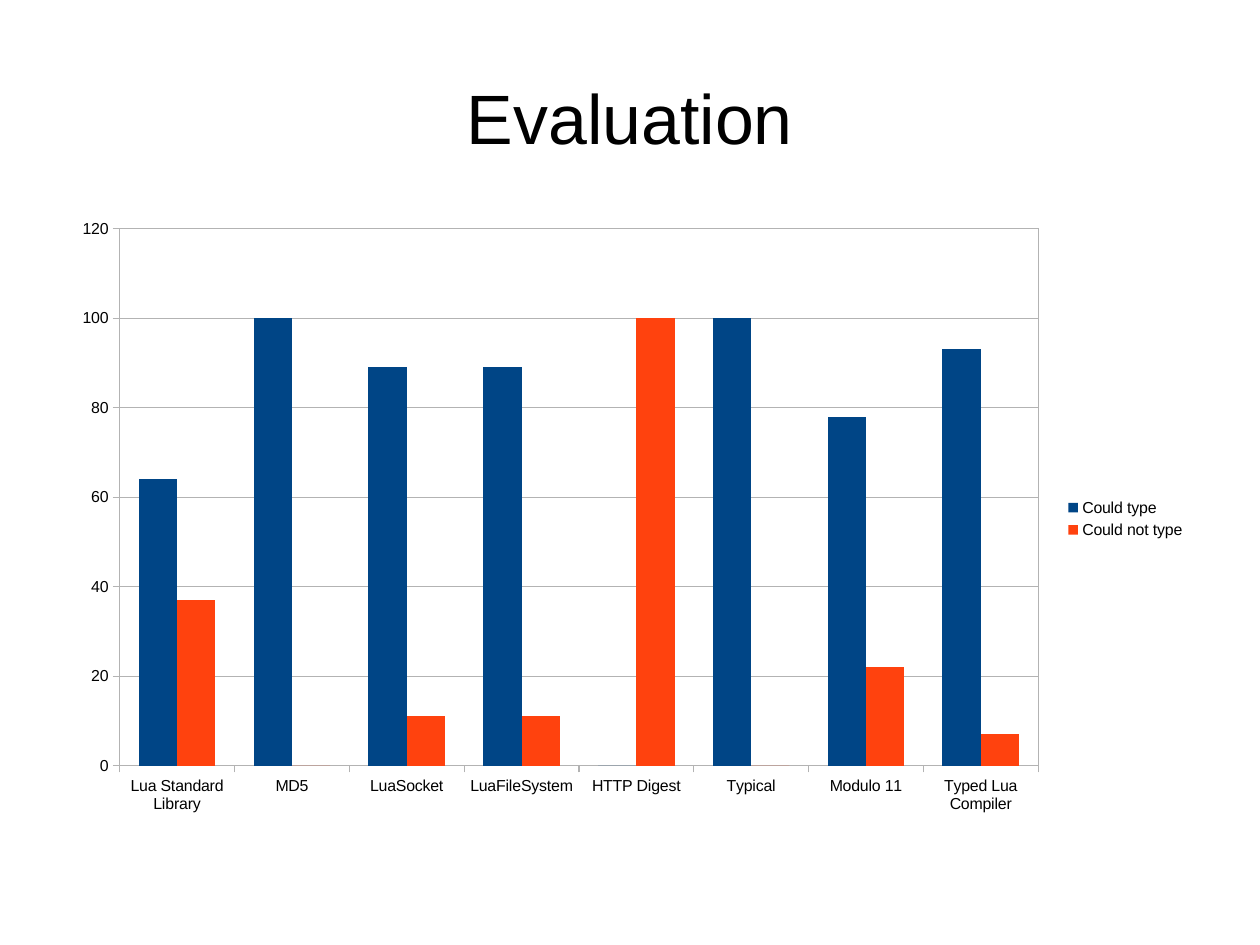
"""Build the evaluation slide with a clustered column chart."""
from dataclasses import dataclass
from typing import Any

from lxml import etree
from pptx import Presentation
from pptx import util as u
from pptx.chart import data as cd
from pptx.dml import color
from pptx.enum import chart as ce
from pptx.enum import text
from pptx.oxml import parse_xml
from pptx.oxml import ns

FONT = "Arial"
BLACK = "000000"
GRAY = "B3B3B3"
CATEGORIES = ("Lua Standard Library", "MD5", "LuaSocket", "LuaFileSystem",
              "HTTP Digest", "Typical", "Modulo 11", "Typed Lua Compiler")
PLOT_LAYOUT = {"layoutTarget": "inner", "xMode": "edge", "yMode": "edge",
               "x": 0.05, "y": 0.03, "w": 0.81, "h": 0.87}


@dataclass(frozen=True)
class Box:
    left: float
    top: float
    width: float
    height: float

    def lengths(self) -> tuple[u.Length, ...]:
        return tuple(u.Cm(v) for v in (self.left, self.top, self.width, self.height))


@dataclass(frozen=True)
class Series:
    name: str
    values: tuple[int, ...]
    fill: str


TITLE_BOX = Box(1.4, 0.84, 25.2, 3.5)
CHART_BOX = Box(1.4, 4.67, 25.2, 13.72)
SERIES = (
    Series("Could type", (64, 100, 89, 89, 0, 100, 78, 93), "004586"),
    Series("Could not type", (37, 0, 11, 11, 100, 0, 22, 7), "FF420E"),
)


def rgb(value: str) -> color.RGBColor:
    return color.RGBColor.from_string(value)


def set_attrs(obj: Any, values: dict[str, Any]) -> None:
    for name, value in values.items():
        setattr(obj, name, value)


def format_font(font: Any, size: float) -> None:
    set_attrs(font, {"name": FONT, "size": u.Pt(size), "bold": False})
    font.color.rgb = rgb(BLACK)


def format_line(line: Any) -> None:
    line.color.rgb = rgb(GRAY)
    line.width = u.Pt(0)


def add_title(s: Any, box: Box, words: str) -> None:
    sp = s.shapes.title
    set_attrs(sp, dict(zip(("left", "top", "width", "height"), box.lengths())))
    tf = sp.text_frame
    set_attrs(tf, {"margin_left": 0, "margin_top": 0, "margin_right": 0,
                   "margin_bottom": 0, "word_wrap": True,
                   "auto_size": text.MSO_AUTO_SIZE.NONE,
                   "vertical_anchor": text.MSO_ANCHOR.MIDDLE})
    p = tf.paragraphs[0]
    set_attrs(p, {"alignment": text.PP_ALIGN.CENTER, "line_spacing": 1.0})
    r = p.add_run()
    r.text = words
    format_font(r.font, 44)


def frame_plot(chart: Any) -> None:
    plot_area = chart.plots[0]._element.getparent()
    for old in plot_area.findall(ns.qn("c:layout")):
        plot_area.remove(old)
    layout = etree.Element(ns.qn("c:layout"))
    manual = etree.SubElement(layout, ns.qn("c:manualLayout"))
    for name, value in PLOT_LAYOUT.items():
        etree.SubElement(manual, ns.qn(f"c:{name}")).set("val", str(value))
    plot_area.insert(0, layout)
    plot_area.append(parse_xml(
        f'<c:spPr {ns.nsdecls("c", "a")}><a:noFill/><a:ln w="0"><a:solidFill>'
        f'<a:srgbClr val="{GRAY}"/></a:solidFill></a:ln></c:spPr>'))


def add_chart(s: Any, box: Box, series: tuple[Series, ...]) -> None:
    data = cd.CategoryChartData()
    data.categories = CATEGORIES
    for item in series:
        data.add_series(item.name, item.values)
    chart = s.shapes.add_chart(
        ce.XL_CHART_TYPE.COLUMN_CLUSTERED, *box.lengths(), data).chart
    set_attrs(chart, {"has_title": False, "has_legend": True})
    format_font(chart.font, 10)
    set_attrs(chart.legend, {"position": ce.XL_LEGEND_POSITION.RIGHT,
                             "include_in_layout": False})
    format_font(chart.legend.font, 10)

    plot = chart.plots[0]
    set_attrs(plot, {"gap_width": 100, "overlap": 0, "vary_by_categories": False})
    for drawn, item in zip(plot.series, series):
        drawn.invert_if_negative = False
        drawn.format.fill.solid()
        drawn.format.fill.fore_color.rgb = rgb(item.fill)
        drawn.format.line.fill.background()

    for axis in (chart.category_axis, chart.value_axis):
        set_attrs(axis, {"major_tick_mark": ce.XL_TICK_MARK.OUTSIDE,
                         "minor_tick_mark": ce.XL_TICK_MARK.NONE})
        format_font(axis.tick_labels.font, 10)
        format_line(axis.format.line)
    set_attrs(chart.value_axis, {"minimum_scale": 0, "maximum_scale": 120,
                                 "major_unit": 20, "has_major_gridlines": True})
    format_line(chart.value_axis.major_gridlines.format.line)
    frame_plot(chart)


def main() -> None:
    prs = Presentation()
    set_attrs(prs, {"slide_width": u.Cm(28), "slide_height": u.Cm(21)})
    s = prs.slides.add_slide(prs.slide_layouts.get_by_name("Title Only"))
    s.background.fill.solid()
    s.background.fill.fore_color.rgb = rgb("FFFFFF")
    add_title(s, TITLE_BOX, "Evaluation")
    add_chart(s, CHART_BOX, SERIES)
    prs.save("out.pptx")


if __name__ == "__main__":
    main()
